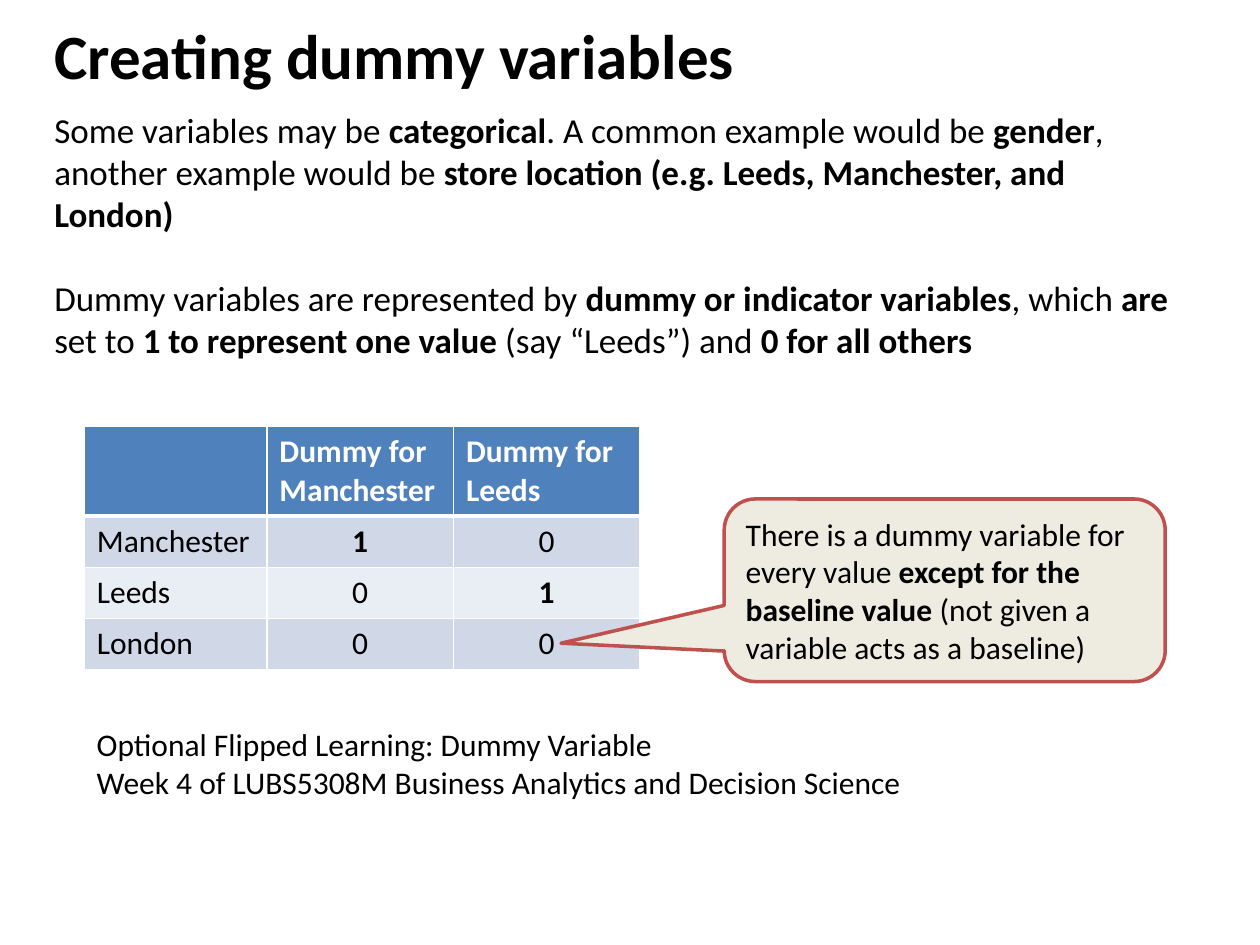
from dataclasses import dataclass

from lxml import etree
from pptx import Presentation
from pptx.dml.color import RGBColor
from pptx.enum.shapes import MSO_SHAPE
from pptx.enum.text import MSO_ANCHOR, MSO_AUTO_SIZE, PP_ALIGN
from pptx.oxml.ns import qn
from pptx.util import Cm, Pt

CALLOUT = MSO_SHAPE.ROUNDED_RECTANGULAR_CALLOUT
TOP, MIDDLE = MSO_ANCHOR.TOP, MSO_ANCHOR.MIDDLE
LEFT, CENTER = PP_ALIGN.LEFT, PP_ALIGN.CENTER
NO_FIT = MSO_AUTO_SIZE.NONE


@dataclass(frozen=True)
class Theme:
    font: str = "Calibri"
    text: str = "000000"
    light: str = "FFFFFF"
    header: str = "4F81BD"
    bands: tuple[str, str] = ("D0D8E8", "E9EDF4")
    note: str = "EEECE1"
    accent: str = "C0504D"
    title_size: int = 36
    body_size: int = 20
    small_size: int = 18


@dataclass(frozen=True)
class Span:
    text: str
    bold: bool = False


@dataclass(frozen=True)
class Box:
    left: float
    top: float
    width: float
    height: float

    def lengths(self) -> tuple:
        return Cm(self.left), Cm(self.top), Cm(self.width), Cm(self.height)


THEME = Theme()

INTRO = [
    [Span("Some variables may be "), Span("categorical", True),
     Span(". A common example would be "), Span("gender", True),
     Span(", another example would be "),
     Span("store location (e.g. Leeds, Manchester, and London)", True)],
    [Span("Dummy variables are represented by "),
     Span("dummy or indicator variables", True), Span(", which "),
     Span("are", True), Span(" set to "),
     Span("1 to represent one value ", True),
     Span("(say “Leeds”) and "), Span("0 for all others", True)],
]
NOTE = [[Span("There is a dummy variable for every value "),
         Span("except for the baseline value ", True),
         Span("(not given a variable acts as a baseline)")]]
FOOTER = [[Span("Optional Flipped Learning: Dummy Variable")],
          [Span("Week 4 of LUBS5308M Business Analytics and Decision Science")]]
DUMMIES = ["Manchester", "Leeds"]
LOCATIONS = ["Manchester", "Leeds", "London"]


def set_all(target, values: dict) -> None:
    for name, value in values.items():
        setattr(target, name, value)


def write(frame, paras: list[list[Span]], size: int, color: str = THEME.text,
          align=LEFT, gap: int = 0) -> None:
    """Fill a text frame; gap is the space in points between paragraphs."""
    for index, spans in enumerate(paras):
        para = frame.add_paragraph() if index else frame.paragraphs[0]
        set_all(para, {"alignment": align, "space_after": Pt(0),
                       "space_before": Pt(gap if index else 0)})
        for span in spans:
            run = para.add_run()
            run.text = span.text
            set_all(run.font, {"name": THEME.font, "size": Pt(size), "bold": span.bold})
            run.font.color.rgb = RGBColor.from_string(color)


def place(shape, box: Box, anchor) -> None:
    left, top, width, height = box.lengths()
    set_all(shape, {"left": left, "top": top, "width": width, "height": height})
    set_all(shape.text_frame, {"word_wrap": True, "auto_size": NO_FIT,
                               "vertical_anchor": anchor})


def remove_bullets(frame) -> None:
    for para in frame.paragraphs:
        properties = para._p.get_or_add_pPr()
        properties.set("marL", "0")
        properties.set("indent", "0")
        etree.SubElement(properties, qn("a:buNone"))


def add_borders(cell, widths: dict[str, int]) -> None:
    properties = cell._tc.get_or_add_tcPr()
    for side, points in widths.items():
        line = etree.SubElement(properties, qn(f"a:ln{side}"), w=str(Pt(points)))
        fill = etree.SubElement(line, qn("a:solidFill"))
        etree.SubElement(fill, qn("a:srgbClr"), val=THEME.light)


def fill_cell(cell, row: int, paras: list[list[Span]], align=LEFT) -> None:
    is_header = row == 0
    add_borders(cell, {"L": 1, "R": 1, "T": 3 if row == 1 else 1,
                       "B": 3 if is_header else 1})
    cell.fill.solid()
    color = THEME.header if is_header else THEME.bands[(row - 1) % 2]
    cell.fill.fore_color.rgb = RGBColor.from_string(color)
    write(cell.text_frame, paras, THEME.small_size,
          THEME.light if is_header else THEME.text, align)


def add_dummy_table(page, box: Box) -> None:
    table = page.shapes.add_table(len(LOCATIONS) + 1, len(DUMMIES) + 1,
                                  *box.lengths()).table
    for column, width in zip(table.columns, (3.68, 3.76, 3.76)):
        column.width = Cm(width)
    for row, height in zip(table.rows, (1.78, 1.03, 1.03, 1.03)):
        row.height = Cm(height)

    fill_cell(table.cell(0, 0), 0, [[]])
    for column, dummy in enumerate(DUMMIES, 1):
        fill_cell(table.cell(0, column), 0,
                  [[Span("Dummy for", True)], [Span(dummy, True)]])
    for row, location in enumerate(LOCATIONS, 1):
        fill_cell(table.cell(row, 0), row, [[Span(location)]])
        for column, dummy in enumerate(DUMMIES, 1):
            match = location == dummy
            fill_cell(table.cell(row, column), row,
                      [[Span(str(int(match)), match)]], CENTER)


def add_callout(page, box: Box) -> None:
    callout = page.shapes.add_shape(CALLOUT, *box.lengths())
    place(callout, box, MIDDLE)
    callout.shadow.inherit = False
    for index, value in enumerate((-0.87, 0.29, 0.17)):
        callout.adjustments[index] = value
    callout.fill.solid()
    callout.fill.fore_color.rgb = RGBColor.from_string(THEME.note)
    callout.line.color.rgb = RGBColor.from_string(THEME.accent)
    callout.line.width = Pt(2)
    write(callout.text_frame, NOTE, THEME.small_size)


def main() -> None:
    deck = Presentation()
    set_all(deck, {"slide_width": Cm(25.4), "slide_height": Cm(19.05)})
    page = deck.slides.add_slide(deck.slide_layouts[1])

    # Title and introduction
    title, body = page.placeholders
    place(title, Box(0.84, 0.2, 22.86, 3.18), TOP)
    write(title.text_frame, [[Span("Creating dummy variables", True)]], THEME.title_size)
    place(body, Box(0.84, 2.03, 23.29, 5.38), MIDDLE)
    write(body.text_frame, INTRO, THEME.body_size, gap=24)
    remove_bullets(body.text_frame)

    # Table with its callout
    add_dummy_table(page, Box(1.7, 8.6, 11.2, 4.87))
    add_callout(page, Box(14.6, 10.06, 8.89, 3.68))

    # Course reference
    footer_box = Box(1.7, 14.5, 23.29, 1.8)
    footer = page.shapes.add_textbox(*footer_box.lengths())
    place(footer, footer_box, TOP)
    write(footer.text_frame, FOOTER, THEME.small_size)

    deck.save("out.pptx")


if __name__ == "__main__":
    main()
